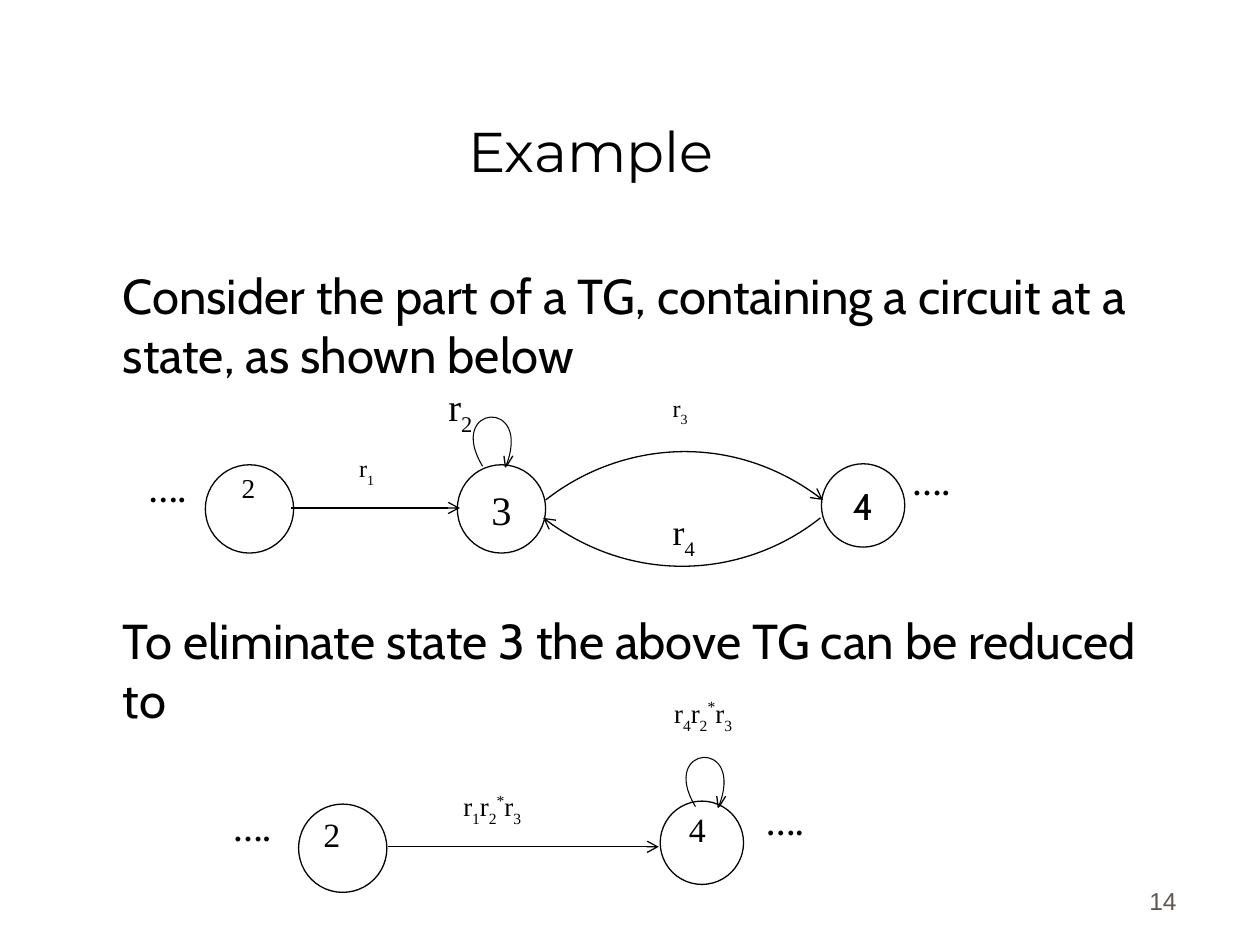
from dataclasses import dataclass

from pptx import Presentation
from pptx.dml.color import RGBColor
from pptx.enum.shapes import MSO_CONNECTOR, MSO_SHAPE
from pptx.enum.text import MSO_ANCHOR, PP_ALIGN
from pptx.oxml.ns import qn
from pptx.util import Cm, Pt
from lxml.etree import SubElement


@dataclass(frozen=True)
class Theme:
    black: RGBColor = RGBColor(0, 0, 0)
    white: RGBColor = RGBColor(255, 255, 255)
    grey: RGBColor = RGBColor(0x5E, 0x57, 0x4E)
    heading: str = "Montserrat"
    body: str = "Cabin"
    math: str = "Times New Roman"
    number: str = "Arial"
    title_size: float = 32
    body_size: float = 28
    page_size: float = 14
    dots_size: float = 17.1
    line: float = 0.75
    loop_line: float = 0.6


T = Theme()

# Content; all lengths in cm
TITLE = "Example"
STATEMENTS = [
    "Consider the part of a TG, containing a circuit at a state, as shown below",
    "To eliminate state 3 the above TG can be reduced to",
]
PAGE = "14"

# left, top, diameter, text inside, font, size
STATES = [
    (4.14, 9.37, 1.78, "", T.math, 0),
    (9.22, 9.37, 1.78, "3", T.math, 23.1),
    (16.56, 9.35, 1.68, "4", T.body, 21.2),
    (6.02, 16.21, 1.78, "", T.math, 0),
    (13.31, 16.15, 1.68, "", T.math, 0),
]
# text, box, size, line spacing; digits after r are subscripts, * is raised
LABELS = [
    ("2", (4.62, 9.5, 1.04, 1.02), 15.6, 0.8),
    ("r1", (6.99, 9.07, 1.04, 1.02), 13.8, 0.8),
    ("r2", (8.79, 7.59, 2.49, 1.7), 22, 1),
    ("r3", (13.31, 7.85, 1.04, 1.02), 13.8, 0.8),
    ("r4", (13.31, 10.16, 1.24, 1.27), 20.4, 0.9),
    ("2", (6.27, 16.43, 2.59, 1.07), 19.4, 0.8),
    ("4", (13.64, 16.33, 2.59, 1.07), 19.4, 0.8),
    ("r1r2*r3", (9.09, 15.85, 4.01, 1.09), 15.4, 0.8),
    ("r4r2*r3", (13.34, 13.97, 4.01, 1.09), 15.4, 0.8),
]
DOTS = [(2.74, 9.55), (18.14, 9.4), (4.45, 16.38), (15.19, 16.26)]

# Straight edges: start x, end x, y
EDGES = [(5.87, 9.27, 10.24), (7.82, 13.28, 17.07)]
# Curved edges: start, two control points, end
ARCS = [
    [(11, 10.08), (12.45, 8.94), (14.76, 8.66), (16.59, 10.08)],
    [(16.54, 10.44), (15.11, 11.58), (12.8, 11.86), (10.95, 10.44)],
]
LOOP = [(9.73, 9.4), (8.97, 8.15), (10.77, 8), (10.19, 9.42)]
LOOP_BARBS = [[(10.21, 9.4), (10.34, 9.19)], [(10.16, 9.19), (10.19, 9.42)]]
LOOP_SHIFTS = [(0, 0), (4.29, 6.86)]


def add_run(p, text, font, size, color=T.black, bold=False, baseline=0):
    r = p.add_run()
    r.text = text
    r.font.name, r.font.size, r.font.bold = font, Pt(size), bold
    r.font.color.rgb = color
    if baseline:
        r.font._element.set("baseline", str(baseline))


def add_box(s, box, anchor=MSO_ANCHOR.TOP):
    tf = s.shapes.add_textbox(*map(Cm, box)).text_frame
    tf.word_wrap = True
    tf.vertical_anchor = anchor
    return tf


def style_line(shape, width=T.line, arrow=False):
    shape.line.color.rgb = T.black
    shape.line.width = Pt(width)
    if arrow:
        ln = shape._element.spPr.find(qn("a:ln"))
        SubElement(ln, qn("a:tailEnd"), type="arrow")


def add_state(s, left, top, size, text, font, points):
    sp = s.shapes.add_shape(MSO_SHAPE.OVAL, Cm(left), Cm(top), Cm(size), Cm(size))
    sp.shadow.inherit = False
    sp.fill.solid()
    sp.fill.fore_color.rgb = T.white
    style_line(sp)
    if text:
        tf = sp.text_frame
        tf.vertical_anchor = MSO_ANCHOR.MIDDLE
        tf.margin_left = tf.margin_right = tf.margin_top = tf.margin_bottom = 0
        tf.paragraphs[0].alignment = PP_ALIGN.CENTER
        add_run(tf.paragraphs[0], text, font, points)


def add_stroke(s, points, width=T.line, arrow=False, shift=(0, 0)):
    """Two points make a straight stroke, four a cubic curve."""
    pts = [(Cm(x + shift[0]), Cm(y + shift[1])) for x, y in points]
    builder = s.shapes.build_freeform(*pts[0])
    builder.add_line_segments(pts[1:], close=False)
    sp = builder.convert_to_shape()
    sp.shadow.inherit = False
    sp.fill.background()
    style_line(sp, width, arrow)
    if len(pts) == 4:
        outline = next(sp._element.iter(qn("a:path")))
        segments = outline.findall(qn("a:lnTo"))
        curve = SubElement(outline, qn("a:cubicBezTo"))
        for segment in segments:
            curve.append(segment[0])
            outline.remove(segment)


def add_label(s, text, box, size, spacing):
    p = add_box(s, box).paragraphs[0]
    p.line_spacing = spacing
    for ch in text:
        baseline = 40000 if ch == "*" else 0
        if ch.isdigit() and text.startswith("r"):
            baseline = -30000
        add_run(p, ch, T.math, size, baseline=baseline)


def main():
    prs = Presentation()
    prs.slide_width, prs.slide_height = Cm(25.4), Cm(19.05)
    s = prs.slides.add_slide(prs.slide_layouts[6])

    # Title and page number
    p = add_box(s, (1.12, 0.64, 21.59, 3.18), MSO_ANCHOR.BOTTOM).paragraphs[0]
    p.alignment = PP_ALIGN.CENTER
    add_run(p, TITLE, T.heading, T.title_size)
    p = add_box(s, (18.69, 17.3, 5.28, 1.27), MSO_ANCHOR.BOTTOM).paragraphs[0]
    p.alignment = PP_ALIGN.RIGHT
    add_run(p, PAGE, T.number, T.page_size, T.grey)

    # Statements, with room for the first graph between them
    tf = add_box(s, (1.27, 5.23, 22.71, 11.58))
    for i, text in enumerate(STATEMENTS):
        p = tf.add_paragraph() if i else tf.paragraphs[0]
        p._p.get_or_add_pPr().set("marL", str(Cm(0.96)))
        if i:
            p.space_before = Pt(130)
        add_run(p, text, T.body, T.body_size)

    # States
    for state in STATES:
        add_state(s, *state)

    # Edges
    for x1, x2, y in EDGES:
        c = s.shapes.add_connector(MSO_CONNECTOR.STRAIGHT, Cm(x1), Cm(y), Cm(x2), Cm(y))
        style_line(c, arrow=True)
        SubElement(c._element.spPr, qn("a:effectLst"))
    for arc in ARCS:
        add_stroke(s, arc, arrow=True)
    for shift in LOOP_SHIFTS:
        add_stroke(s, LOOP, T.loop_line, shift=shift)
        for barb in LOOP_BARBS:
            add_stroke(s, barb, shift=shift)

    # Labels and continuation dots
    for label in LABELS:
        add_label(s, *label)
    for x, y in DOTS:
        p = add_box(s, (x, y, 1.93, 1.07)).paragraphs[0]
        p.line_spacing = 0.8
        add_run(p, "….", T.math, T.dots_size, bold=True)

    prs.save("out.pptx")


if __name__ == "__main__":
    main()
